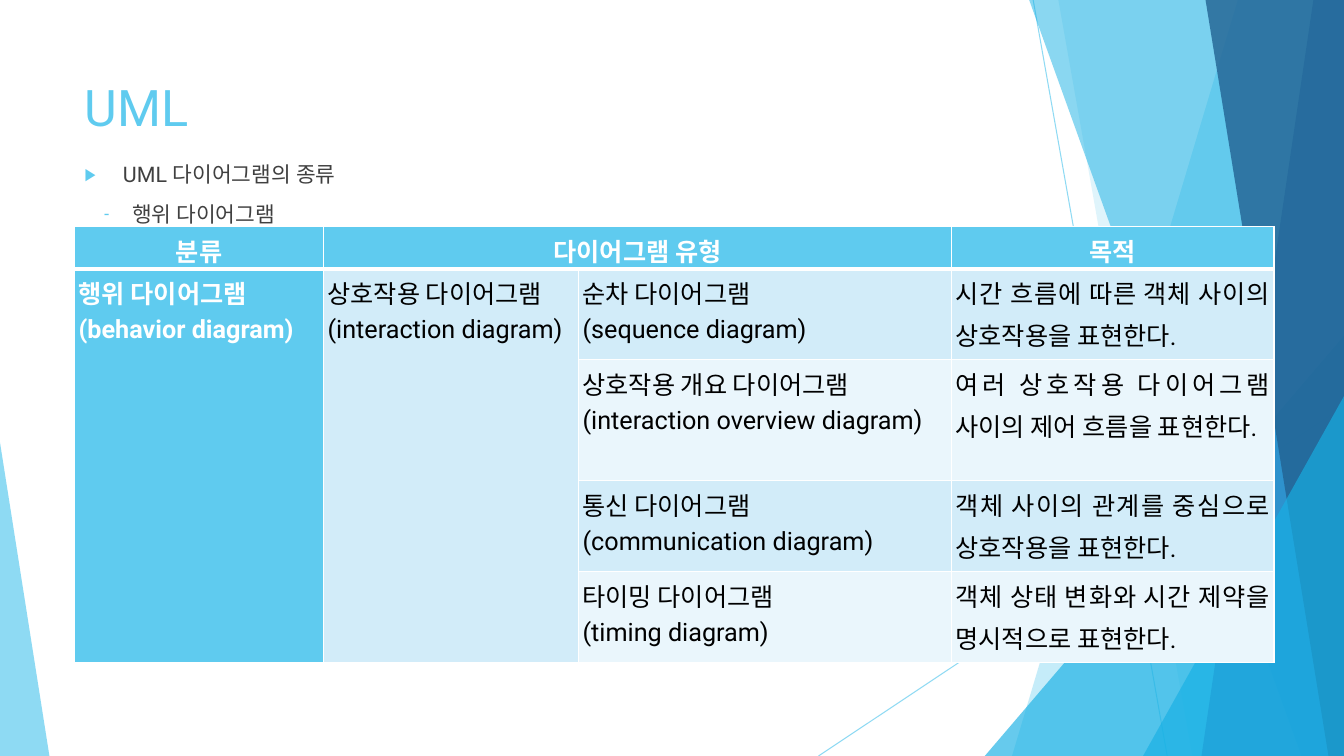
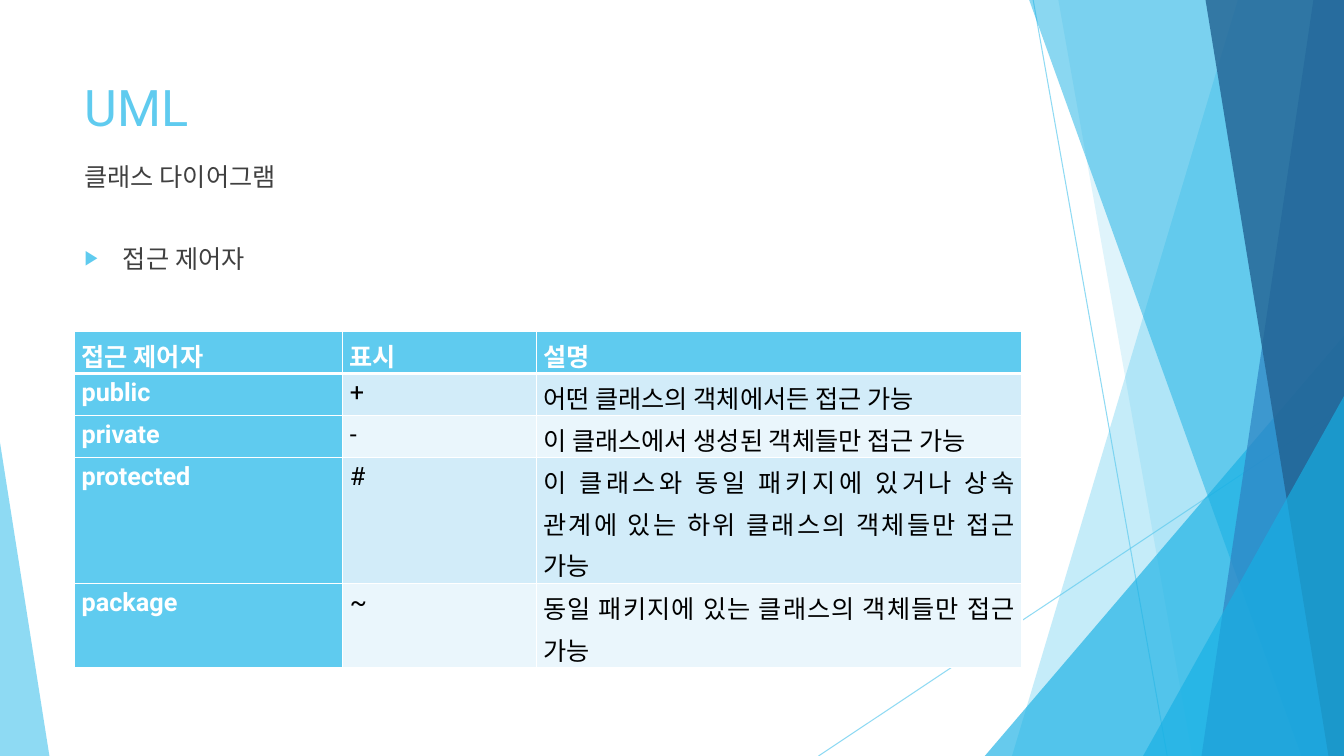
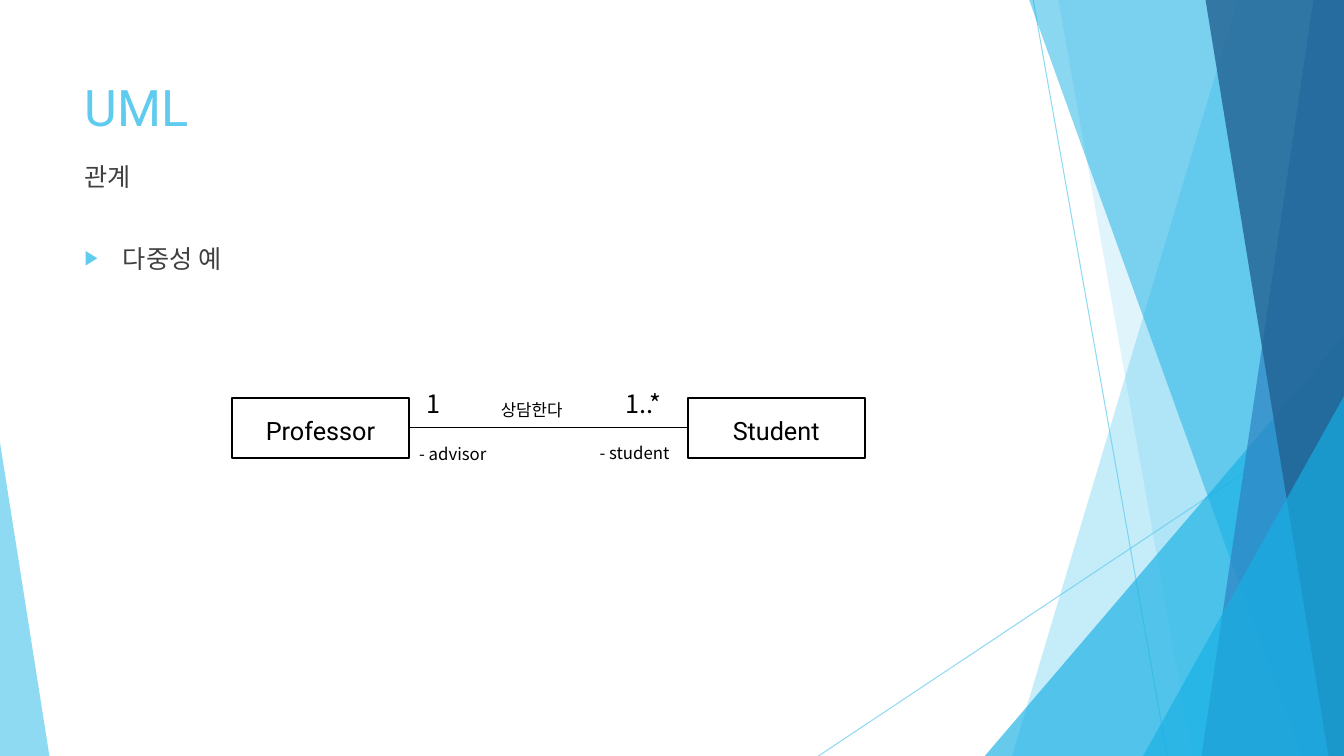
from lxml import etree
from pptx import Presentation
from pptx import util as u
from pptx.dml.color import RGBColor
from pptx.enum import shapes, text
from pptx.oxml import ns

COLS, ROWS = 40, 30
SKY, CYAN, BLUE, NAVY = "5FCBEF", "17B0E4", "2E83C3", "226292"
WHITE, BLACK, GREY = "FFFFFF", "000000", "404040"
BANDS = ["D2ECF9", "EAF6FC"]
LATIN, KOREAN = "Roboto", "Noto Sans CJK KR"
LEFT, WIDTH = 2.22, 28.2
TITLE_BOX = (LEFT, 2.68, WIDTH, 3.04)
LEAD_BOX = (LEFT, 6.2, WIDTH, 2.72)
BODY_BOX = (LEFT, 9.44, WIDTH, 3.72)
ARROW = ("▶", 0.38, -0.38)
DASH = ("-", 0.47, -0.28)
LEFT_AL, CENTER, JUSTIFY = text.PP_ALIGN.LEFT, text.PP_ALIGN.CENTER, text.PP_ALIGN.JUSTIFY

prs = Presentation()
prs.slide_width, prs.slide_height = u.Inches(13.333), u.Inches(7.5)


def gx(cols):
    """Return the length of a number of grid columns."""
    return round(prs.slide_width * cols / COLS)


def gy(rows):
    """Return the length of a number of grid rows."""
    return round(prs.slide_height * rows / ROWS)


def grid(x, y, w, h):
    """Return a grid box as left, top, width and height."""
    return gx(x), gy(y), gx(w), gy(h)


def rgb(colour):
    """Return the colour of a hex string."""
    return RGBColor.from_string(colour)


def sub(parent, tag, **attrs):
    """Append a DrawingML element."""
    return etree.SubElement(parent, ns.qn("a:" + tag), attrs)


def fade(sp, percent):
    """Make the colour of a shape partly transparent."""
    colour = next(sp._element.iter(ns.qn("a:srgbClr")))
    sub(colour, "alpha", val=str(percent * 1000))


def write(p, words, size=18, colour=BLACK, font=LATIN, bold=False):
    """Add one formatted run to a paragraph."""
    r = p.add_run()
    r.text = words
    r.font.name, r.font.size, r.font.bold = font, u.Pt(size), bold
    r.font.color.rgb = rgb(colour)
    sub(r._r.get_or_add_rPr(), "ea", typeface=KOREAN)


def paragraphs(tf, count):
    """Return the given number of paragraphs of a text frame."""
    return [tf.paragraphs[0]] + [tf.add_paragraph() for _ in range(count - 1)]


def paint(sp, fill, line=None, width=0.75):
    """Set the fill and outline of a shape and drop its shadow."""
    sp.shadow.inherit = False
    sp.fill.solid()
    sp.fill.fore_color.rgb = rgb(fill)
    if line:
        sp.line.color.rgb, sp.line.width = rgb(line), u.Pt(width)
    else:
        sp.line.fill.background()


def connect(parent, x1, y1, x2, y2, colour, width):
    """Draw a straight line between two grid points."""
    sp = parent.add_connector(shapes.MSO_CONNECTOR.STRAIGHT, gx(x1), gy(y1), gx(x2), gy(y2))
    sp.line.color.rgb, sp.line.width = rgb(colour), u.Pt(width)
    sub(sp._element.spPr, "effectLst")
    return sp


def facet_band(parent, top, bottom, colour, alpha):
    """Draw a full-height band from a slanted edge to the right side."""
    pen = parent.build_freeform(gx(top), 0)
    pen.add_line_segments([(gx(COLS), 0), (gx(COLS), gy(ROWS)), (gx(bottom), gy(ROWS))])
    sp = pen.convert_to_shape()
    paint(sp, colour)
    fade(sp, alpha)


def facet_corner(parent, x, y, w, apex, colour, alpha):
    """Draw a right triangle standing on the bottom edge."""
    sp = parent.add_shape(shapes.MSO_SHAPE.ISOSCELES_TRIANGLE, *grid(x, y, w, ROWS - y))
    sp.adjustments[0] = apex
    paint(sp, colour)
    fade(sp, alpha)


def facets(s):
    """Draw the facets and move them to the layout of the slide."""
    group = s.shapes.add_group_shape()
    parent = group.shapes
    for ends in [(30.75, 0, 34.74, ROWS), (COLS, 16.12, 24.36, ROWS)]:
        fade(connect(parent, *ends, SKY, 0.75), 70)
    facet_band(parent, 36.84, 30.12, SKY, 36)
    facet_band(parent, 31.5, 35.49, SKY, 20)
    facet_corner(parent, 29.31, 13.32, 10.69, 1, CYAN, 66)
    facet_band(parent, 30.63, 38.73, CYAN, 50)
    facet_band(parent, 39.09, 35.76, BLUE, 70)
    facet_band(parent, 35.88, 39.54, NAVY, 80)
    facet_corner(parent, 34.02, 15.72, 5.98, 1, CYAN, 66)
    facet_corner(parent, 0, 17.56, 1.47, 0, SKY, 70)
    s.slide_layout.shapes._spTree.insert(2, group._element)


def place(sp, box, anchor):
    """Move a text shape to a grid box and fix its text settings."""
    sp.left, sp.top, sp.width, sp.height = grid(*box)
    tf = sp.text_frame
    tf.word_wrap, tf.auto_size, tf.vertical_anchor = True, text.MSO_AUTO_SIZE.NONE, anchor
    return tf


def bullets(sp, box, items, size):
    """Fill a body placeholder with marked items."""
    tf = place(sp, box, text.MSO_ANCHOR.TOP)
    for p, (words, (mark, margin, indent)) in zip(paragraphs(tf, len(items)), items):
        p.space_before, p.alignment = u.Pt(10), LEFT_AL
        pPr = p._p.get_or_add_pPr()
        pPr.set("marL", str(u.Inches(margin)))
        pPr.set("indent", str(u.Inches(indent)))
        sub(sub(pPr, "buClr"), "srgbClr", val=SKY)
        sub(pPr, "buSzPct", val="80000")
        sub(pPr, "buChar", char=mark)
        write(p, words, size, GREY)


def lead(s, words):
    """Write the topic line under the title."""
    tf = place(s.shapes.add_textbox(*grid(*LEAD_BOX)), LEAD_BOX, text.MSO_ANCHOR.TOP)
    p = tf.paragraphs[0]
    p.space_before = u.Pt(10)
    write(p, words, 18, GREY)


def new_slide(items, box=BODY_BOX, size=18):
    """Add a slide with its title and list."""
    s = prs.slides.add_slide(prs.slide_layouts[1])
    p = place(s.shapes.title, TITLE_BOX, text.MSO_ANCHOR.MIDDLE).paragraphs[0]
    p.alignment = LEFT_AL
    write(p, "UML", 36, SKY)
    bullets(s.placeholders[1], box, items, size)
    return s


def cell_style(cell, fill, header, inset):
    """Set the borders, fill and margins of a cell."""
    tcPr = cell._tc.get_or_add_tcPr()
    for side in ("lnL", "lnR", "lnT", "lnB"):
        points = 3 if header and side == "lnB" else 1
        line = sub(tcPr, side, w=str(u.Pt(points)))
        sub(sub(line, "solidFill"), "srgbClr", val=WHITE)
    cell.fill.solid()
    cell.fill.fore_color.rgb = rgb(fill)
    cell.margin_left = cell.margin_right = u.Inches(inset)
    cell.margin_top = cell.margin_bottom = 0


def table(s, left, top, cols, rows, values, inset, header_align, merges=()):
    """Draw a banded table with a header row and a header column."""
    frame = s.shapes.add_table(len(rows), len(cols), *grid(left, top, sum(cols), sum(rows)))
    tbl = frame.table
    tbl.first_row = tbl.horz_banding = False
    for column, w in zip(tbl.columns, cols):
        column.width = gx(w)
    for row, h in zip(tbl.rows, rows):
        row.height = gy(h)
    for i, line in enumerate(values):
        for j, words in enumerate(line):
            cell = tbl.cell(i, j)
            head = i == 0 or j == 0
            cell_style(cell, SKY if head else BANDS[(i - 1) % 2], i == 0, inset)
            parts = words.split("\n") if words else []
            for p, part in zip(paragraphs(cell.text_frame, max(1, len(parts))), parts):
                p.alignment = JUSTIFY if i else header_align
                p.line_spacing = 1.15
                write(p, part, 18, WHITE if head else BLACK, bold=head)
    for first, last in merges:
        tbl.cell(*first).merge(tbl.cell(*last))


def text_box(s, box, words, size, font, line, width, align, anchor, after=0):
    """Draw a white rectangle with one line of text."""
    sp = s.shapes.add_shape(shapes.MSO_SHAPE.RECTANGLE, *grid(*box))
    paint(sp, WHITE, line, width)
    p = place(sp, box, anchor).paragraphs[0]
    p.alignment, p.line_spacing, p.space_after = align, 1.15, u.Pt(after)
    write(p, words, size, font=font)


def association(s, x, y, w, h, ends, labels):
    """Draw two classes joined by a labelled line."""
    side = w * 0.28
    for words, size, dx, dy, lw, lh in labels:
        text_box(s, (x + dx, y + dy, lw, lh), words, size, KOREAN, WHITE, 0.75,
                 JUSTIFY, text.MSO_ANCHOR.TOP)
    connect(s.shapes, x + side, y + h * 0.49, x + w - side, y + h * 0.49, BLACK, 1)
    for words, left in zip(ends, (x, x + w - side)):
        text_box(s, (left, y, side, h), words, 18, LATIN, BLACK, 1.5,
                 CENTER, text.MSO_ANCHOR.MIDDLE)


def behavior_slide():
    """Build the slide on behaviour diagrams."""
    s = new_slide([("UML 다이어그램의 종류", ARROW), ("행위 다이어그램", DASH)], LEAD_BOX, 15.3)
    facets(s)
    values = [
        ["분류", "다이어그램 유형", "", "목적"],
        ["행위 다이어그램\n(behavior diagram)", "상호작용 다이어그램\n(interaction diagram)",
         "순차 다이어그램\n(sequence diagram)", "시간 흐름에 따른 객체 사이의 상호작용을 표현한다."],
        ["", "", "상호작용 개요 다이어그램\n(interaction overview diagram)",
         "여러 상호작용 다이어그램 사이의 제어 흐름을 표현한다."],
        ["", "", "통신 다이어그램\n(communication diagram)",
         "객체 사이의 관계를 중심으로 상호작용을 표현한다."],
        ["", "", "타이밍 다이어그램\n(timing diagram)",
         "객체 상태 변화와 시간 제약을 명시적으로 표현한다."],
    ]
    merges = [((0, 1), (0, 2)), ((1, 0), (4, 0)), ((1, 1), (4, 1))]
    table(s, LEFT, 9, [7.41, 7.59, 11.1, 9.6], [1.68, 3.6, 4.8, 3.6, 3.6],
          values, 0.04, CENTER, merges)


def access_slide():
    """Build the slide on access modifiers."""
    s = new_slide([("접근 제어자", ARROW)])
    lead(s, "클래스 다이어그램")
    values = [
        ["접근 제어자", "표시", "설명"],
        ["public", "+", "어떤 클래스의 객체에서든 접근 가능"],
        ["private", "-", "이 클래스에서 생성된 객체들만 접근 가능"],
        ["protected", "#",
         "이 클래스와 동일 패키지에 있거나 상속 관계에 있는 하위 클래스의 객체들만 접근 가능"],
        ["package", "~", "동일 패키지에 있는 클래스의 객체들만 접근 가능"],
    ]
    table(s, LEFT, 13.16, [7.98, 5.76, 14.46], [1.66, 1.66, 1.66, 5, 3.32],
          values, 0.07, JUSTIFY)


def multiplicity_slide():
    """Build the slide on multiplicity."""
    s = new_slide([("다중성 예", ARROW)])
    lead(s, "관계")
    labels = [
        ("- advisor", 12, 5.28, 1.48, 2.79, 1.4),
        ("- student", 12, 10.65, 1.44, 3.21, 1.4),
        ("1", 18, 5.49, -0.76, 1.11, 1.4),
        ("1..*", 18, 11.43, -0.76, 1.68, 1.4),
        ("상담한다", 12, 7.71, -0.24, 2.7, 1.12),
    ]
    association(s, 6.9, 15.8, 18.84, 2.36, ["Professor", "Student"], labels)


behavior_slide()
access_slide()
multiplicity_slide()
prs.save("out.pptx")
